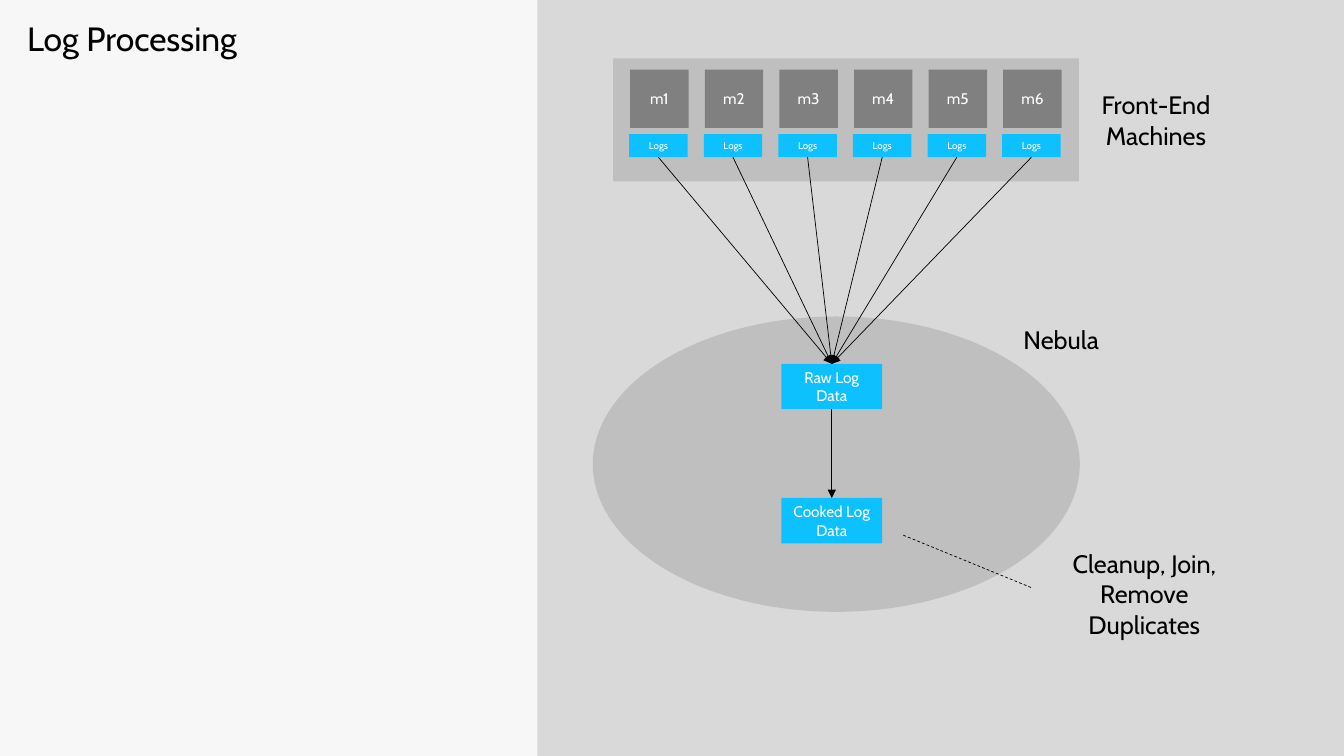
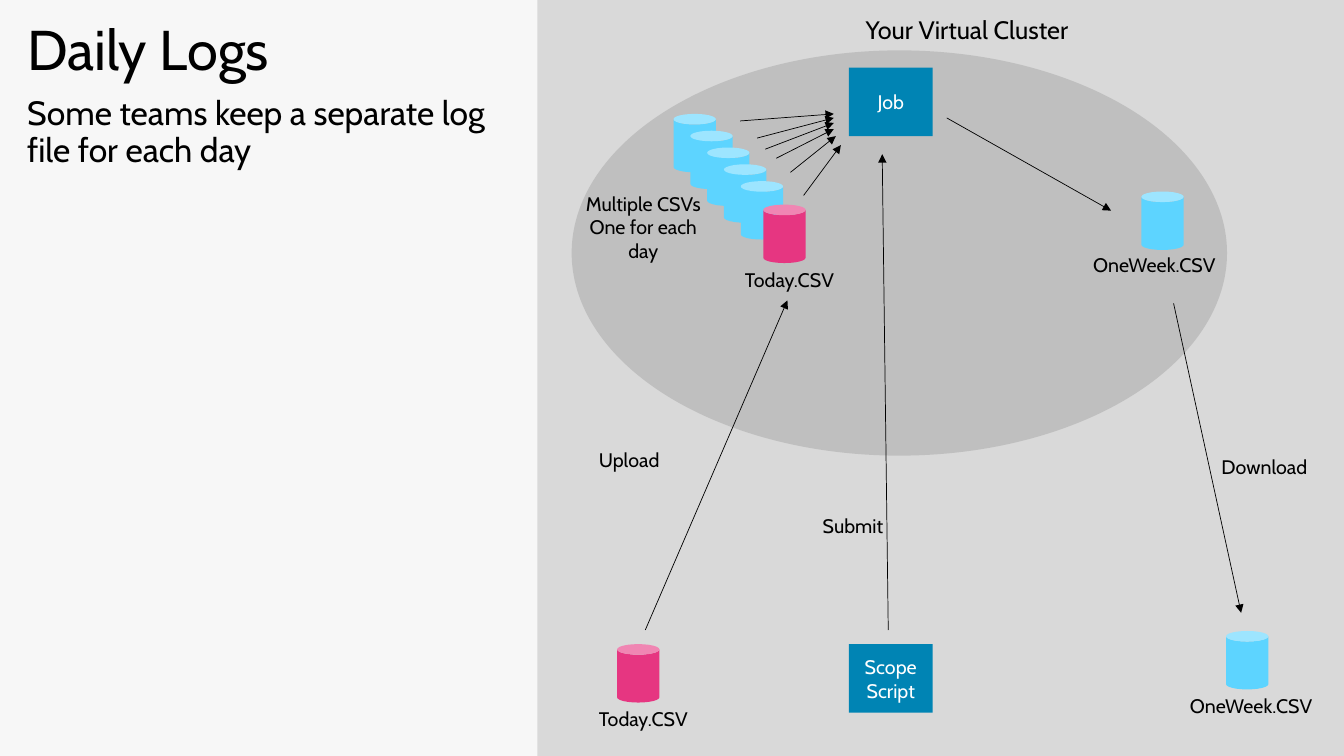
import pptx
import pptx.util
import pptx.dml.color
import pptx.enum.dml
import pptx.enum.shapes
import pptx.enum.text
import pptx.oxml.xmlchemy

Inches = pptx.util.Inches
Pt = pptx.util.Pt
RGBColor = pptx.dml.color.RGBColor
Shape = pptx.enum.shapes.MSO_SHAPE
Align = pptx.enum.text.PP_ALIGN
Anchor = pptx.enum.text.MSO_ANCHOR
OxmlElement = pptx.oxml.xmlchemy.OxmlElement

FONT = "Cabin"
BLACK = RGBColor(0x00, 0x00, 0x00)
WHITE = RGBColor(0xFF, 0xFF, 0xFF)
PAPER = RGBColor(0xF7, 0xF7, 0xF7)
PANEL = RGBColor(0xD9, 0xD9, 0xD9)
ZONE = RGBColor(0xBF, 0xBF, 0xBF)
MACHINE = RGBColor(0x80, 0x80, 0x80)
LOG = RGBColor(0x0D, 0xC0, 0xFF)
JOB = RGBColor(0x00, 0x84, 0xB4)
FILE = RGBColor(0x5D, 0xD4, 0xFF)
TODAY = RGBColor(0xE6, 0x36, 0x81)


def add_block(page, area, text="", size=14, kind=None, fill=None):
    """Add a filled shape with white text, or a black label when kind is None."""
    lengths = [Inches(value) for value in area]
    if kind is None:
        box = page.shapes.add_textbox(*lengths)
    else:
        box = page.shapes.add_shape(kind, *lengths)
        box.shadow.inherit = False
        box.fill.solid()
        box.fill.fore_color.rgb = fill
        box.line.fill.background()
    frame = box.text_frame
    frame.word_wrap = True
    frame.vertical_anchor = Anchor.MIDDLE
    for number, line in enumerate(text.split("\n") if text else []):
        para = frame.add_paragraph() if number else frame.paragraphs[0]
        para.alignment = Align.CENTER
        span = para.add_run()
        span.text = line
        span.font.name = FONT
        span.font.size = Pt(size)
        span.font.color.rgb = BLACK if kind is None else WHITE
    return box


def add_line(page, start, end, arrow=True):
    """Add a thin arrow, or a dashed line without a head."""
    line = page.shapes.add_connector(
        pptx.enum.shapes.MSO_CONNECTOR.STRAIGHT,
        *[Inches(value) for value in start + end])
    line.line.color.rgb = BLACK
    line.line.width = Pt(0.5)
    if arrow:
        head = OxmlElement("a:tailEnd")
        head.set("type", "triangle")
        line.element.spPr.get_or_add_ln().append(head)
    else:
        line.line.dash_style = pptx.enum.dml.MSO_LINE.DASH
    line.element.spPr.append(OxmlElement("a:effectLst"))


deck = pptx.Presentation()
deck.slide_width = Inches(13.33)
deck.slide_height = Inches(7.5)

# Shared layout: background, title and body places, grey panel
layout = deck.slide_layouts[1]
layout.background.fill.solid()
layout.background.fill.fore_color.rgb = PAPER
for holder, top, height in ((layout.placeholders[0], 0.17, 0.74),
                            (layout.placeholders[1], 0.91, 6.43)):
    holder.left, holder.top = Inches(0.17), Inches(top)
    holder.width, holder.height = Inches(4.92), Inches(height)

# Titles and statements
pages = []
for title, title_size, statement in (
        ("Log Processing", 24, ""),
        ("Daily Logs", 40, "Some teams keep a separate log file for each day")):
    page = deck.slides.add_slide(layout)
    pages.append(page)
    body = page.placeholders[1]
    texts = [(page.shapes.title, title, title_size)]
    if statement:
        texts.append((body, statement, 24))
    else:
        body.element.getparent().remove(body.element)
    for holder, text, size in texts:
        frame = holder.text_frame
        frame.word_wrap = True
        frame.auto_size = pptx.enum.text.MSO_AUTO_SIZE.NONE
        frame.vertical_anchor = Anchor.TOP
        para = frame.paragraphs[0]
        properties = para._p.get_or_add_pPr()
        properties.set("marL", "0")
        properties.set("indent", "0")
        properties.append(OxmlElement("a:buNone"))
        para.alignment = Align.LEFT
        para.line_spacing = 0.9
        para.space_before = Pt(0)
        span = para.add_run()
        span.text = text
        span.font.name = FONT
        span.font.size = Pt(size)
        span.font.color.rgb = BLACK

processing, daily = pages

# The panel is drawn on a page, then moved behind the layout's placeholders
panel = add_block(processing, (5.33, 0, 8, 7.5), kind=Shape.RECTANGLE, fill=PANEL)
panel.element.nvSpPr.cNvPr.set("id", "20")
layout.shapes.element.insert(2, panel.element)

# Log Processing: machines feed raw data, which is then cooked
add_block(processing, (5.88, 3.14, 4.83, 2.93), kind=Shape.OVAL, fill=ZONE)
add_block(processing, (6.08, 0.58, 4.62, 1.22), kind=Shape.RECTANGLE, fill=ZONE)
for text, top in (("Raw Log Data", 3.61), ("Cooked Log Data", 4.94)):
    add_block(processing, (7.75, top, 1, 0.45), text, 11, Shape.RECTANGLE, LOG)
for number in range(6):
    left = 6.24 + 0.74 * number
    add_block(processing, (left + 0.01, 0.69, 0.58, 0.58), f"m{number + 1}", 11,
              Shape.RECTANGLE, MACHINE)
    add_block(processing, (left, 1.33, 0.58, 0.23), "Logs", 7, Shape.RECTANGLE, LOG)
    add_line(processing, (left + 0.29, 1.56), (8.25, 3.61))
add_line(processing, (8.25, 4.06), (8.25, 4.94))
add_line(processing, (8.96, 5.31), (10.23, 5.83), arrow=False)
for text, left, top, width in (
        ("Front-End Machines", 10.71, 0.98, 1.51),
        ("Nebula", 9.77, 3.16, 1.51),
        ("Cleanup, Join, Remove Duplicates", 10.25, 5.68, 2.2)):
    add_block(processing, (left, top, width, 0.42), text, 18)

# Daily Logs: files are uploaded, joined by a job and downloaded
add_block(daily, (5.67, 0.5, 6.5, 4.02), kind=Shape.OVAL, fill=ZONE)
add_block(daily, (8.42, 0.08, 2.34, 0.42), "Your Virtual Cluster", 18)
for text, top in (("Job", 0.67), ("Scope Script", 6.39)):
    add_block(daily, (8.42, top, 0.83, 0.68), text, 14, Shape.RECTANGLE, JOB)

files = [(6.68 + number / 6, 1.13 + number / 6, FILE) for number in range(5)]
files += [(7.57, 2.03, TODAY), (6.12, 6.39, TODAY),
          (11.32, 1.9, FILE), (12.16, 6.26, FILE)]
for left, top, colour in files:
    add_block(daily, (left, top, 0.42, 0.58), kind=Shape.CAN, fill=colour)

for text, left, top, width in (
        ("Multiple CSVs\nOne for each day", 5.67, 2.04, 1.42),
        ("Today.CSV", 7.12, 2.56, 1.42),
        ("Today.CSV", 5.67, 6.92, 1.42),
        ("OneWeek.CSV", 10.62, 2.42, 1.66),
        ("OneWeek.CSV", 11.58, 6.79, 1.66),
        ("Upload", 5.53, 4.35, 1.42),
        ("Submit", 7.75, 5, 1.42),
        ("Download", 11.83, 4.42, 1.42)):
    add_block(daily, (left, top, width, 0.42), text)

for start, end in (
        ((6.4, 6.25), (7.81, 2.98)),
        ((8.81, 6.25), (8.75, 1.53)),
        ((9.39, 1.17), (11.02, 2.09)),
        ((11.64, 3.01), (12.31, 6.08)),
        ((7.34, 1.2), (8.27, 1.13)),
        ((7.51, 1.37), (8.27, 1.17)),
        ((7.59, 1.48), (8.27, 1.22)),
        ((7.7, 1.57), (8.27, 1.28)),
        ((7.84, 1.71), (8.29, 1.35)),
        ((7.97, 1.94), (8.34, 1.44))):
    add_line(daily, start, end)

deck.save("out.pptx")
